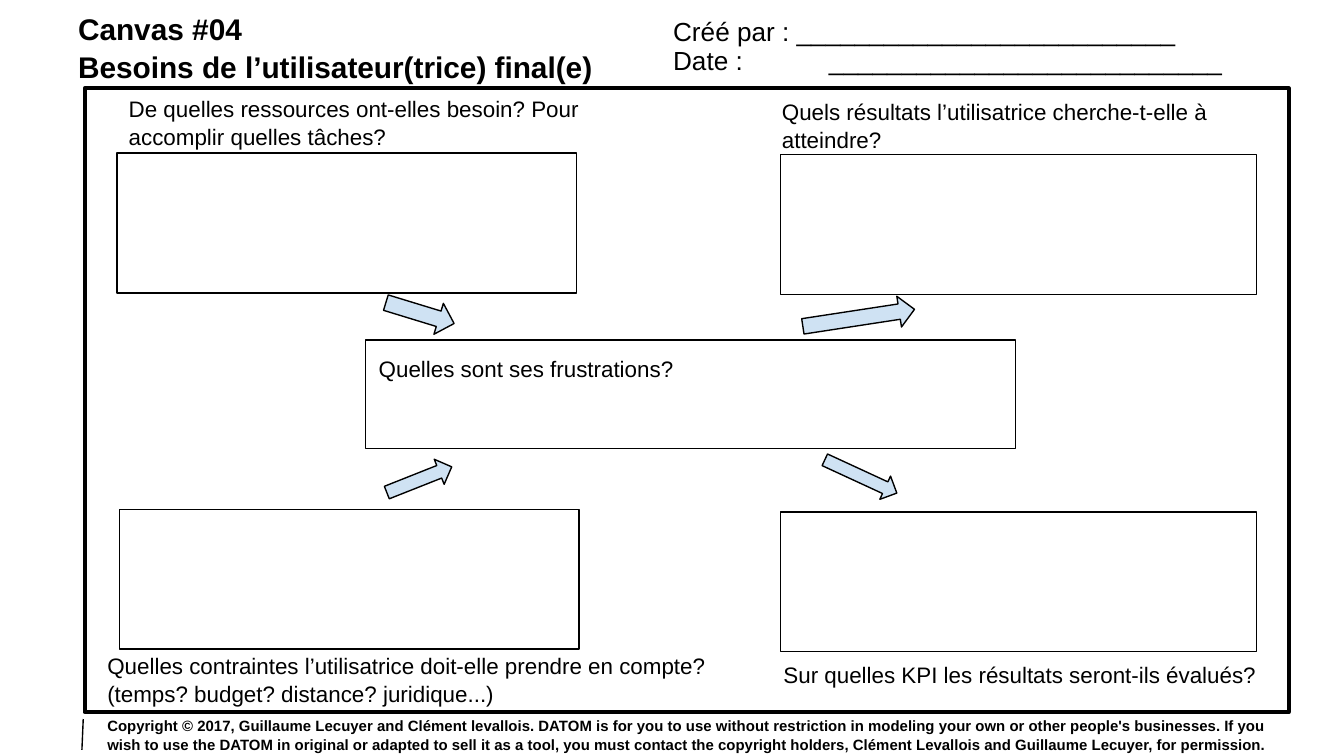
from lxml import etree
from pptx import Presentation
from pptx.dml.color import RGBColor
from pptx.enum.shapes import MSO_CONNECTOR, MSO_SHAPE
from pptx.enum.text import MSO_ANCHOR, MSO_AUTO_SIZE, PP_ALIGN
from pptx.oxml.ns import qn
from pptx.util import Pt

RECT, ARROW = MSO_SHAPE.RECTANGLE, MSO_SHAPE.RIGHT_ARROW
STRAIGHT = MSO_CONNECTOR.STRAIGHT
TOP, MIDDLE = MSO_ANCHOR.TOP, MSO_ANCHOR.MIDDLE
LEFT, NO_FIT = PP_ALIGN.LEFT, MSO_AUTO_SIZE.NONE
BLACK, PALE_BLUE = "000000", "CFE2F3"
FONT, INSET, TAB = "Arial", 7.2, 83.5

TITLE = ["Canvas #04", "Besoins de l’utilisateur(trice) final(e)"]
TITLE_BOX = (34.6, -2.2, 306, 36)
FRAME = (45.4, 47.3, 645, 334.2)
FRUSTRATIONS = ("Quelles sont ses frustrations?", (195.8, 182.2, 348.4, 58.2))

FIELDS = [
    ("Créé par : " + "_" * 26, (353.5, 0, 314, 24.5)),
    ("Date :\t" + "_" * 27, (353.5, 15.8, 320, 24.5)),
]
QUESTIONS = [
    ("De quelles ressources ont-elles besoin? Pour accomplir quelles tâches?",
     (61.9, 43.2, 263.5, 29.5)),
    ("Quels résultats l’utilisatrice cherche-t-elle à atteindre?",
     (411.8, 44.6, 274.3, 36)),
    ("Quelles contraintes l’utilisatrice doit-elle prendre en compte? "
     "(temps? budget? distance? juridique...)", (50.4, 341.3, 337, 31.7)),
    ("Sur quelles KPI les résultats seront-ils évalués?",
     (412.6, 346.3, 274.3, 31.7)),
]
ANSWER_H = 74.9
ANSWERS = [(62.6, 82.1, 246.2), (418.3, 82.8, 254.9),
           (64.1, 272.9, 246.2), (418.3, 274.3, 254.9)]
ARROWS = [
    ((205.9, 159.1, 38.2, 17.3), 17),
    ((429.8, 162, 60.5, 16.6), -8.7),
    ((205.9, 249.8, 37.4, 14.4), -21.6),
    ((439.9, 248.4, 42.5, 13.7), 24.8),
]
COPYRIGHT = (
    "Copyright © 2017, Guillaume Lecuyer and Clément levallois. DATOM is for you "
    "to use without restriction in modeling your own or other people's businesses. "
    "If you wish to use the DATOM in original or adapted to sell it as a tool, you "
    "must contact the copyright holders, Clément Levallois and Guillaume Lecuyer, "
    "for permission.")
COPYRIGHT_BOX = (50.4, 385.2, 645, 16.6)
MARGIN_LINE = (44.6, 385.2, 43.9, 401.8)


def rgb(color):
    return RGBColor.from_string(color)


def pts(values):
    return [Pt(v) for v in values]


def write(shape, lines, size=12, bold=False, anchor=TOP, tab=None):
    tf = shape.text_frame
    tf.word_wrap = True
    tf.auto_size = NO_FIT
    tf.vertical_anchor = anchor
    tf.margin_left = tf.margin_right = tf.margin_top = tf.margin_bottom = Pt(INSET)
    for i, line in enumerate(lines):
        p = tf.add_paragraph() if i else tf.paragraphs[0]
        p.alignment = LEFT
        p.line_spacing = 1.05
        p.space_before = p.space_after = Pt(0)
        if tab:
            tabs = etree.SubElement(p._p.get_or_add_pPr(), qn("a:tabLst"))
            etree.SubElement(tabs, qn("a:tab"), pos=str(Pt(tab)), algn="l")
        r = p.add_run()
        r.text = line
        r.font.name, r.font.size, r.font.bold = FONT, Pt(size), bold
        r.font.color.rgb = rgb(BLACK)


def add_text(s, text, box, **fmt):
    write(s.shapes.add_textbox(*pts(box)), [text], **fmt)


def add_shape(s, kind, box, fill=None, width=0.75, rotation=0):
    sp = s.shapes.add_shape(kind, *pts(box))
    sp.shadow.inherit = False
    sp.rotation = rotation
    if fill:
        sp.fill.solid()
        sp.fill.fore_color.rgb = rgb(fill)
    else:
        sp.fill.background()
    sp.line.color.rgb = rgb(BLACK)
    sp.line.width = Pt(width)
    return sp


def main():
    prs = Presentation()
    prs.slide_width, prs.slide_height = Pt(720), Pt(405)
    s = prs.slides.add_slide(prs.slide_layouts[5])

    title = s.shapes.title
    title.left, title.top, title.width, title.height = pts(TITLE_BOX)
    write(title, TITLE, size=16, bold=True)

    add_shape(s, RECT, FRAME, width=2.25)
    text, box = FRUSTRATIONS
    write(add_shape(s, RECT, box), [text])
    for x, y, w in ANSWERS:
        add_shape(s, RECT, (x, y, w, ANSWER_H))
    for box, angle in ARROWS:
        add_shape(s, ARROW, box, fill=PALE_BLUE, rotation=angle)

    for text, box in FIELDS:
        add_text(s, text, box, size=14, tab=TAB)
    for text, box in QUESTIONS:
        add_text(s, text, box)

    line = s.shapes.add_connector(STRAIGHT, *pts(MARGIN_LINE))
    line.line.color.rgb = rgb(BLACK)
    line.line.width = Pt(0.75)
    etree.SubElement(line._element.spPr, qn("a:effectLst"))
    add_text(s, COPYRIGHT, COPYRIGHT_BOX, size=8, bold=True, anchor=MIDDLE)

    prs.save("out.pptx")


if __name__ == "__main__":
    main()
